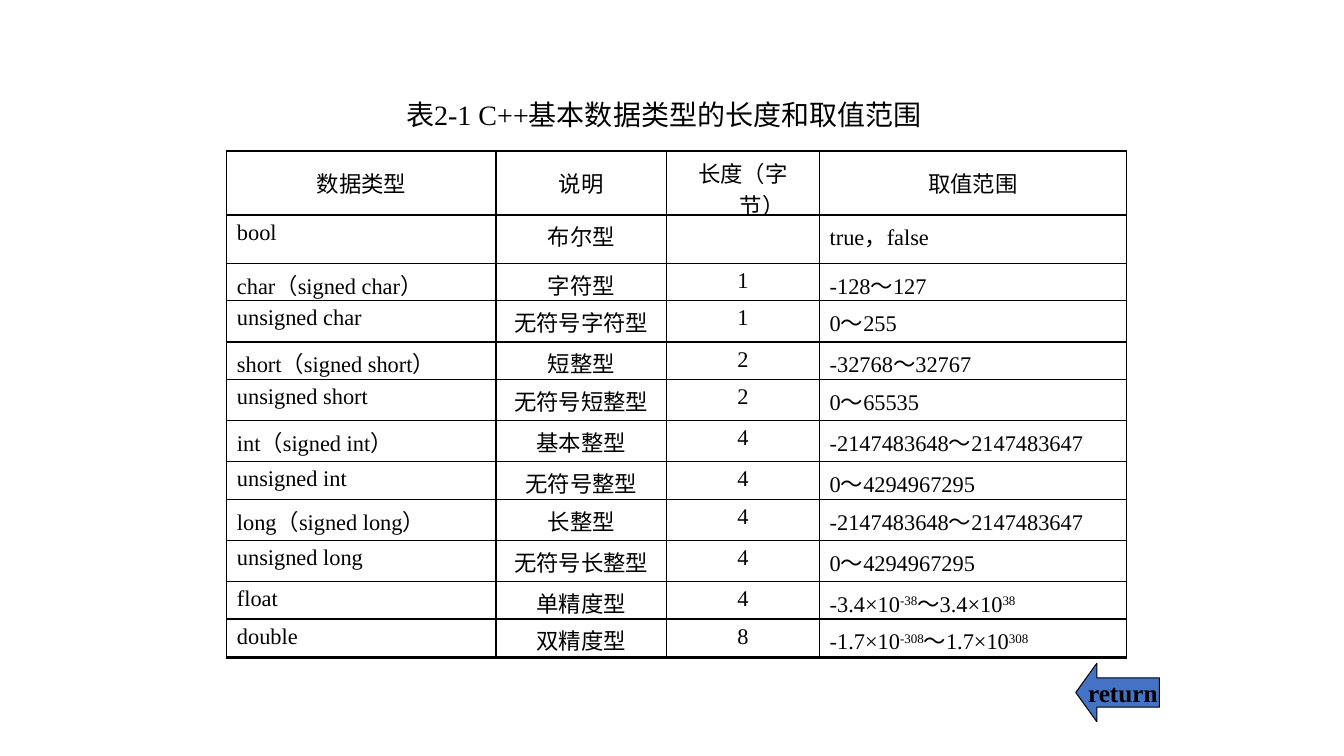
from lxml import etree
from pptx import Presentation
from pptx.dml.color import RGBColor
from pptx.enum.shapes import MSO_SHAPE
from pptx.enum.text import MSO_ANCHOR, PP_ALIGN
from pptx.oxml.ns import qn
from pptx.util import Inches, Pt

# Content: "^" switches between normal and superscript text
TITLE = "表2-1 C++基本数据类型的长度和取值范围"
ROWS = [
    ("数据类型", "说明", "长度（字节）", "取值范围"),
    ("bool", "布尔型", "", "true，false"),
    ("char（signed char）", "字符型", "1", "-128～127"),
    ("unsigned char", "无符号字符型", "1", "0～255"),
    ("short（signed short）", "短整型", "2", "-32768～32767"),
    ("unsigned short", "无符号短整型", "2", "0～65535"),
    ("int（signed int）", "基本整型", "4", "-2147483648～2147483647"),
    ("unsigned int", "无符号整型", "4", "0～4294967295"),
    ("long（signed long）", "长整型", "4", "-2147483648～2147483647"),
    ("unsigned long", "无符号长整型", "4", "0～4294967295"),
    ("float", "单精度型", "4", "-3.4×10^-38^～3.4×10^38"),
    ("double", "双精度型", "8", "-1.7×10^-308^～1.7×10^308"),
]
COL_WIDTHS = [2.67, 1.69, 1.52, 3.04]
ROW_HEIGHTS = [0.63, 0.48, 0.37, 0.41, 0.37, 0.41, 0.41, 0.37, 0.41, 0.41, 0.37, 0.38]
COLORS = {"ink": "000000", "arrow": "4472C4"}
FONT = "Times New Roman"
TITLE_FORMAT = {"size": Pt(20), "name": FONT}
CELL_FORMAT = {"size": Pt(16), "name": FONT}
RETURN_FORMAT = {"size": Pt(18), "name": FONT, "bold": True}


def add_text(p, text, fmt, align):
    p.alignment = align
    for i, part in enumerate(text.split("^")):
        r = p.add_run()
        r.text = part
        for name, value in fmt.items():
            setattr(r.font, name, value)
        r.font.color.rgb = RGBColor.from_string(COLORS["ink"])
        if i % 2:
            r.font._element.set("baseline", "30000")


def set_borders(cell, widths):
    tcPr = cell._tc.get_or_add_tcPr()
    for i, (side, width) in enumerate(widths.items()):
        ln = etree.Element(qn(f"a:{side}"), w=str(Pt(width)))
        fill = etree.SubElement(ln, qn("a:solidFill"))
        etree.SubElement(fill, qn("a:srgbClr"), val=COLORS["ink"])
        tcPr.insert(i, ln)


prs = Presentation()
prs.slide_width, prs.slide_height = Inches(13.33), Inches(7.5)
s = prs.slides.add_slide(prs.slide_layouts[6])

# Title
sp = s.shapes.add_textbox(Inches(2.17), Inches(0.92), Inches(8.83), Inches(0.77))
tf = sp.text_frame
tf.word_wrap = True
add_text(tf.paragraphs[0], TITLE, TITLE_FORMAT, PP_ALIGN.CENTER)

# Table of types
last_row, last_col = len(ROWS) - 1, len(COL_WIDTHS) - 1
frame = s.shapes.add_table(len(ROWS), len(COL_WIDTHS), Inches(2.25), Inches(1.5),
                           Inches(sum(COL_WIDTHS)), Inches(5))
table = frame.table
for col, width in zip(table.columns, COL_WIDTHS):
    col.width = Inches(width)
for row, height in zip(table.rows, ROW_HEIGHTS):
    row.height = Inches(height)
frame.height = Inches(5)

for i, row in enumerate(ROWS):
    for j, text in enumerate(row):
        cell = table.cell(i, j)
        cell.fill.background()
        cell.vertical_anchor = MSO_ANCHOR.TOP if i else MSO_ANCHOR.MIDDLE
        set_borders(cell, {
            "lnL": 1 if j else 0.75,
            "lnR": 0.75 if j == last_col else 1,
            "lnT": 2 if i < 2 else 1,
            "lnB": 2 if i in (0, last_row) else 1,
        })
        if text:
            p = cell.text_frame.paragraphs[0]
            justified = i and j in (0, last_col)
            add_text(p, text, CELL_FORMAT, PP_ALIGN.JUSTIFY if justified else PP_ALIGN.CENTER)
            pPr = p._p.get_or_add_pPr()
            pPr.set("marL", str(Inches(0.38)))
            pPr.set("indent", str(Inches(-0.38)))

# Return arrow
sp = s.shapes.add_shape(MSO_SHAPE.LEFT_ARROW, Inches(10.67), Inches(6.58), Inches(0.83), Inches(0.58))
sp.shadow.inherit = False
sp.adjustments[0], sp.adjustments[1] = 0.5, 0.36
sp.fill.solid()
sp.fill.fore_color.rgb = RGBColor.from_string(COLORS["arrow"])
sp.line.color.rgb = RGBColor.from_string(COLORS["ink"])
sp.line.width = Pt(0.75)
tf = sp.text_frame
tf.word_wrap = False
tf.vertical_anchor = MSO_ANCHOR.MIDDLE
add_text(tf.paragraphs[0], "return", RETURN_FORMAT, PP_ALIGN.CENTER)

prs.save("out.pptx")
